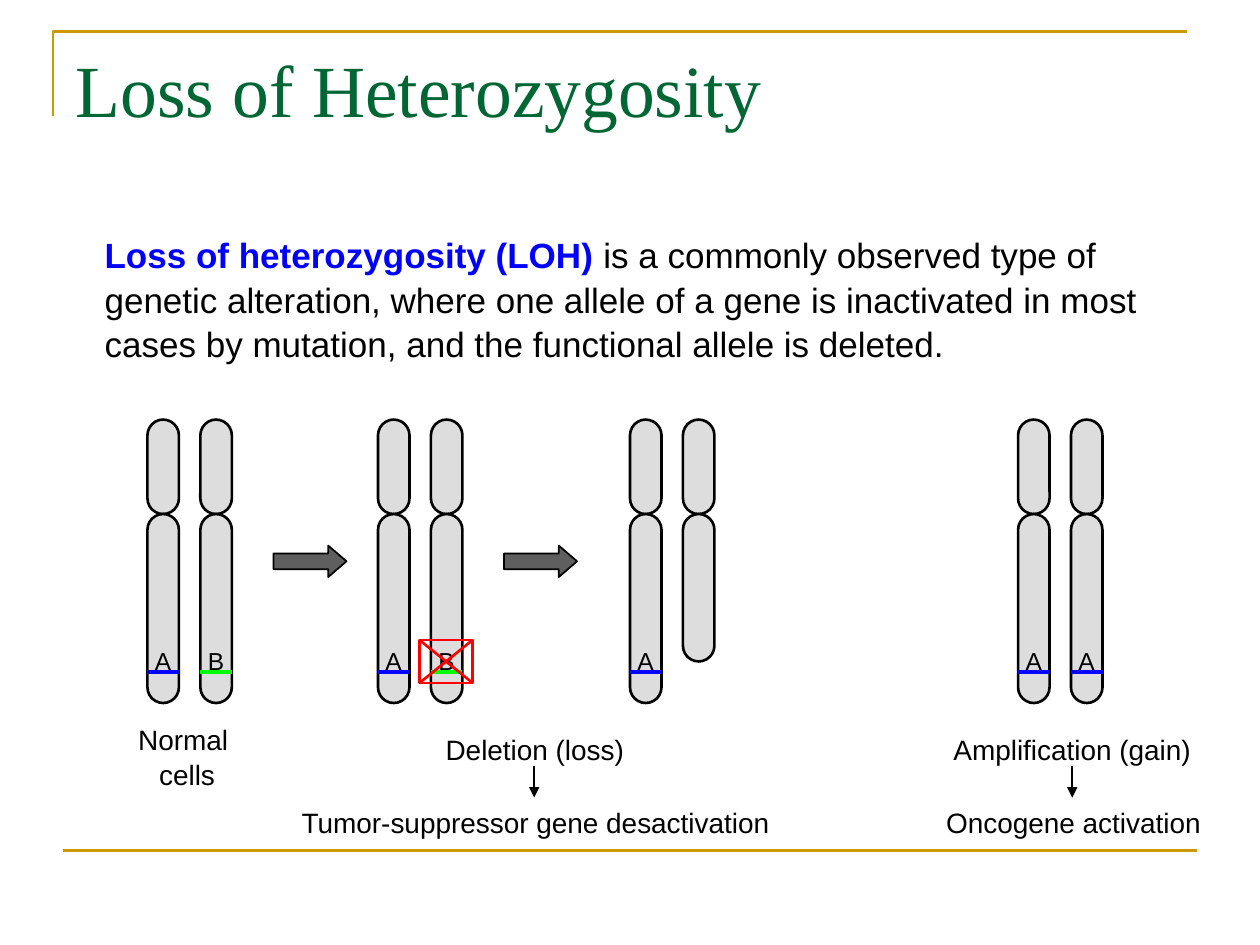
from dataclasses import dataclass

from lxml import etree
from pptx import Presentation
from pptx import util as u
from pptx.dml.color import RGBColor
from pptx.enum import shapes, text
from pptx.oxml import ns


@dataclass(frozen=True)
class Theme:
    serif: str = "Times New Roman"
    sans: str = "Arial"
    title: str = "006633"
    frame: str = "CC9900"
    ink: str = "000000"
    arm: str = "DDDDDD"
    arrow: str = "5F5F5F"
    allele_a: str = "0000FF"
    allele_b: str = "00FF00"
    loss: str = "FF0000"
    title_size: float = 42
    body_size: float = 20
    caption_size: float = 16
    allele_size: float = 14
    outline: float = 1.5
    thin: float = 1
    band: float = 2.25


THEME = Theme()
MSO, ALIGN = shapes.MSO_SHAPE, text.PP_ALIGN


def apply(target, values):
    for name, value in values.items():
        setattr(target, name, value)


def inches(*values):
    return [u.Inches(value) for value in values]


class SlideBuilder:
    def __init__(self, slide, theme):
        self.slide, self.theme = slide, theme

    def stroke(self, shape, color, width):
        shape.line.color.rgb = RGBColor.from_string(color)
        shape.line.width = u.Pt(width)

    def fill_text(self, shape, runs, size, font, align, wrap=True, spacing=1.05):
        """Fill a text frame with one paragraph of (text, color, bold) runs."""
        frame = shape.text_frame
        apply(frame, {"word_wrap": wrap, "auto_size": text.MSO_AUTO_SIZE.NONE,
                      "vertical_anchor": text.MSO_ANCHOR.TOP})
        paragraph = frame.paragraphs[0]
        apply(paragraph, {"alignment": align, "line_spacing": spacing,
                          "space_before": u.Pt(0)})
        for words, color, bold in runs:
            for index, part in enumerate(words.split("\n")):
                if index:
                    paragraph.add_line_break()
                run = paragraph.add_run()
                run.text = part
                apply(run.font, {"name": font, "size": u.Pt(size), "bold": bold})
                run.font.color.rgb = RGBColor.from_string(color)
        return paragraph

    def place(self, shape, box):
        apply(shape, dict(zip(("left", "top", "width", "height"), inches(*box))))

    def title(self, words, box):
        shape = self.slide.shapes.title
        self.place(shape, box)
        self.fill_text(shape, [(words, self.theme.title, False)], self.theme.title_size,
                       self.theme.serif, ALIGN.LEFT, spacing=1.0)

    def body(self, runs, box):
        shape = self.slide.placeholders[1]
        self.place(shape, box)
        paragraph = self.fill_text(shape, runs, self.theme.body_size, self.theme.sans,
                                   ALIGN.LEFT)
        properties = paragraph._p.get_or_add_pPr()
        for name in ("marL", "indent"):
            properties.set(name, "0")
        etree.SubElement(properties, ns.qn("a:buNone"))

    def label(self, words, box, size):
        shape = self.slide.shapes.add_textbox(*inches(*box))
        self.fill_text(shape, [(words, self.theme.ink, False)], size,
                       self.theme.sans, ALIGN.CENTER, wrap=False)

    def line(self, start, end, color, width, arrowhead=False):
        connector = self.slide.shapes.add_connector(
            shapes.MSO_CONNECTOR.STRAIGHT, *inches(*start, *end))
        self.stroke(connector, color, width)
        properties = connector._element.spPr
        if arrowhead:
            etree.SubElement(properties.find(ns.qn("a:ln")), ns.qn("a:tailEnd"),
                             type="triangle")
        etree.SubElement(properties, ns.qn("a:effectLst"))

    def shape(self, kind, box, fill, color, width, adjustments=(), parent=None):
        shape = (parent or self.slide).shapes.add_shape(kind, *inches(*box))
        shape.shadow.inherit = False
        for index, value in enumerate(adjustments):
            shape.adjustments[index] = value
        if fill:
            shape.fill.solid()
            shape.fill.fore_color.rgb = RGBColor.from_string(fill)
        else:
            shape.fill.background()
        self.stroke(shape, color, width)

    def outline(self, points, color, width):
        first, *rest = [inches(*point) for point in points]
        freeform = self.slide.shapes.build_freeform(*first)
        freeform.add_line_segments(rest, close=False)
        shape = freeform.convert_to_shape()
        shape.shadow.inherit = False
        shape.fill.background()
        self.stroke(shape, color, width)

    def chromosome(self, left, allele):
        """Short and long arm; without an allele the long arm is truncated."""
        theme = self.theme
        group = self.slide.shapes.add_group_shape()
        for top, height in ((3.33, 0.75), (4.08, 1.5 if allele else 1.17)):
            self.shape(MSO.ROUNDED_RECTANGLE, (left, top, 0.25, height), theme.arm,
                       theme.ink, theme.outline, [0.5], group)
        if allele:
            color = {"A": theme.allele_a, "B": theme.allele_b}[allele]
            self.line((left, 5.33), (left + 0.25, 5.33), color, theme.band)
            self.label(allele, (left - 0.04, 5.07, 0.33, 0.34), theme.allele_size)


presentation = Presentation()
apply(presentation, {"slide_width": u.Inches(10), "slide_height": u.Inches(7.5)})
slide = presentation.slides.add_slide(presentation.slide_layouts[1])
builder = SlideBuilder(slide, THEME)

# Frame
builder.outline([(0.42, 0.92), (0.42, 0.25), (9.42, 0.25)], THEME.frame, THEME.outline)
builder.line((0.5, 6.75), (9.5, 6.75), THEME.frame, THEME.outline)

# Title and definition
builder.title("Loss of Heterozygosity", (0.5, 0.3, 9, 1.25))
builder.body([
    ("Loss of heterozygosity (LOH)", THEME.allele_a, True),
    (" is a commonly observed type of genetic alteration, where one allele of a gene is "
     "inactivated in most cases by mutation, and the functional allele is deleted.",
     THEME.ink, False),
], (0.73, 1.79, 9.02, 1.44))

# Chromosome pairs
for pair_left, alleles in ((1.17, "AB"), (3, "AB"), (5, ("A", None)), (8.08, "AA")):
    for index, allele in enumerate(alleles):
        builder.chromosome(pair_left + 0.42 * index, allele)

# Crossed-out allele
left, top, right, bottom = 3.33, 5.08, 3.75, 5.42
builder.shape(MSO.RECTANGLE, (left, top, right - left, bottom - top), None,
              THEME.loss, THEME.outline)
for start, end in (((left, top), (right, bottom)), ((right, top), (left, bottom))):
    builder.line(start, end, THEME.loss, THEME.outline)

# Step arrows
for arrow_left in (2.17, 4):
    builder.shape(MSO.RIGHT_ARROW, (arrow_left, 4.33, 0.58, 0.25), THEME.arrow,
                  THEME.ink, THEME.thin, [0.5, 0.58])

# Captions and consequences
for words, box in (
    ("Normal \ncells", (1, 5.67, 0.97, 0.64)),
    ("Deletion (loss)", (3.44, 5.75, 1.61, 0.37)),
    ("Amplification (gain)", (7.47, 5.75, 2.08, 0.37)),
    ("Tumor-suppressor gene desactivation", (2.29, 6.33, 3.92, 0.37)),
    ("Oncogene activation", (7.41, 6.33, 2.22, 0.37)),
):
    builder.label(words, box, THEME.caption_size)
for center in (4.24, 8.51):
    builder.line((center, 6.08), (center, 6.33), THEME.ink, THEME.thin, arrowhead=True)

presentation.save("out.pptx")
